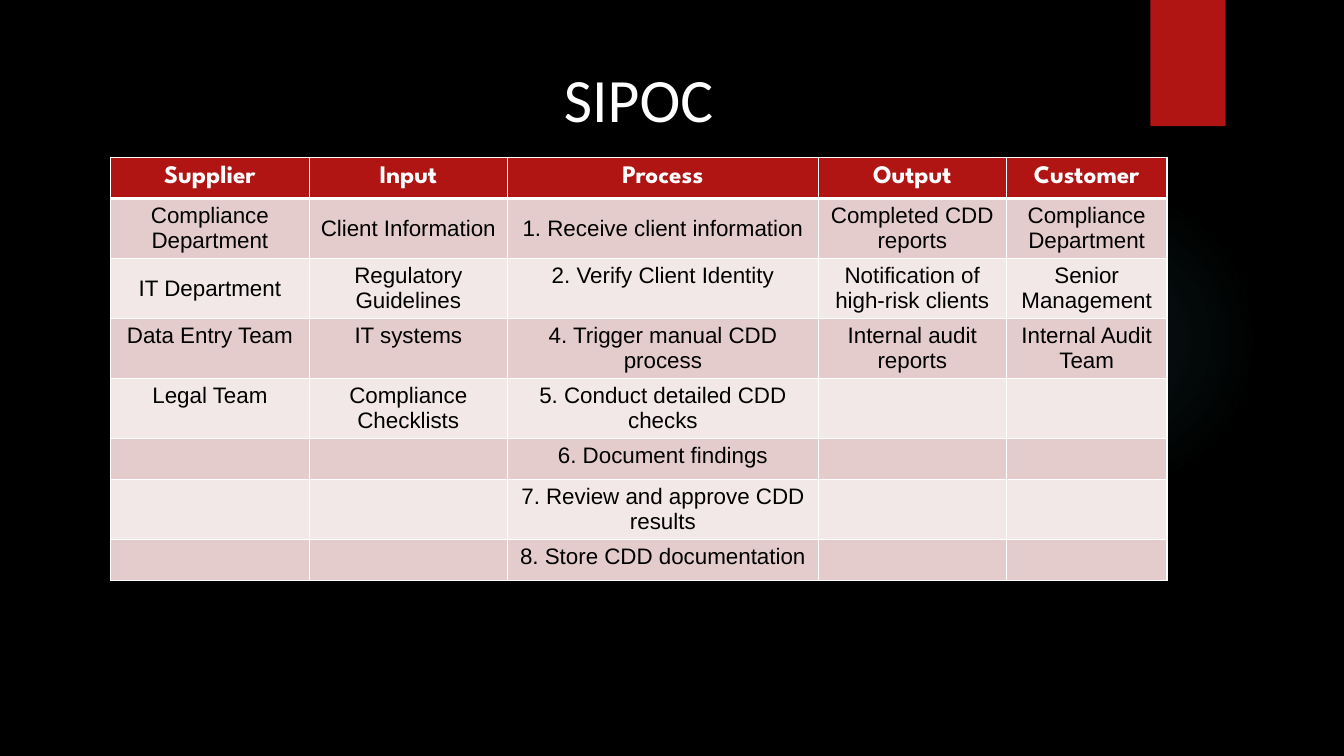
import pptx
import pptx.dml.color
import pptx.enum.shapes
import pptx.enum.text
import pptx.oxml
import pptx.oxml.ns
import pptx.util
from pptx.dml.color import RGBColor
from pptx.util import Cm

BLACK = RGBColor(0x00, 0x00, 0x00)
WHITE = RGBColor(0xFF, 0xFF, 0xFF)
RED = RGBColor(0xB0, 0x15, 0x13)
TEAL = RGBColor(0x50, 0xB9, 0xC1)
ROSE = RGBColor(0xE4, 0xCC, 0xCC)
PALE_ROSE = RGBColor(0xF2, 0xE8, 0xE7)

GLOW_STOPS = ((0, 7), (36, 6), (69, 0))
COLUMN_WIDTHS = (5, 5, 7.83, 4.74, 4.05)
SINGLE_LINE, DOUBLE_LINE = 1.04, 1.51
ROW_HEIGHTS = (SINGLE_LINE,) + (DOUBLE_LINE,) * 4 + (SINGLE_LINE, DOUBLE_LINE, SINGLE_LINE)
SIPOC_ROWS = (
    ("Supplier", "Input", "Process", "Output", "Customer"),
    ("Compliance Department", "Client Information", "1. Receive client information",
     "Completed CDD reports", "Compliance Department"),
    ("IT Department", "Regulatory Guidelines", "2. Verify Client Identity",
     "Notification of high-risk clients", "Senior Management"),
    ("Data Entry Team", "IT systems", "4. Trigger manual CDD process",
     "Internal audit reports", "Internal Audit Team"),
    ("Legal Team", "Compliance Checklists", "5. Conduct detailed CDD checks", "", ""),
    ("", "", "6. Document findings", "", ""),
    ("", "", "7. Review and approve CDD results", "", ""),
    ("", "", "8. Store CDD documentation", "", ""),
)
MIDDLE_CELLS = {(2, 0), (2, 3), (2, 4), (3, 2)}


def add_text(frame, text, font, size, color, bold=False):
    para = frame.paragraphs[0]
    para.alignment = pptx.enum.text.PP_ALIGN.CENTER
    span = para.add_run()
    span.text = text
    span.font.name = font
    span.font.size = pptx.util.Pt(size)
    span.font.color.rgb = color
    span.font.bold = bold


def add_plain_shape(page, kind, left, top, width, height):
    shape = page.shapes.add_shape(kind, Cm(left), Cm(top), Cm(width), Cm(height))
    shape.shadow.inherit = False
    shape.line.fill.background()
    return shape


def draw_glow(page, left, top, size):
    glow = add_plain_shape(page, pptx.enum.shapes.MSO_SHAPE.OVAL, left, top, size, size)
    glow.fill.background()
    stops = "".join(
        f'<a:gs pos="{position * 1000}"><a:srgbClr val="{TEAL}">'
        f'<a:alpha val="{opacity * 1000}"/></a:srgbClr></a:gs>'
        for position, opacity in GLOW_STOPS)
    gradient = pptx.oxml.parse_xml(
        f'<a:gradFill {pptx.oxml.ns.nsdecls("a")}><a:gsLst>{stops}</a:gsLst>'
        '<a:path path="circle"><a:fillToRect l="50000" t="50000" r="50000" b="50000"/>'
        '</a:path></a:gradFill>')
    properties = glow.element.spPr
    properties.replace(properties.find(pptx.oxml.ns.qn("a:noFill")), gradient)


def draw_tab(page, left, top, width, height):
    tab = add_plain_shape(page, pptx.enum.shapes.MSO_SHAPE.RECTANGLE, left, top, width, height)
    tab.fill.solid()
    tab.fill.fore_color.rgb = RED


def draw_title(page, left, top, width, height):
    box = page.shapes.add_textbox(Cm(left), Cm(top), Cm(width), Cm(height))
    box.text_frame.word_wrap = True
    add_text(box.text_frame, "SIPOC", "Calibri", 44, WHITE)


def set_borders(cell, top, bottom):
    properties = cell._tc.get_or_add_tcPr()
    for index, (side, points) in enumerate((("L", 1), ("R", 1), ("T", top), ("B", bottom))):
        properties.insert(index, pptx.oxml.parse_xml(
            f'<a:ln{side} {pptx.oxml.ns.nsdecls("a")} w="{pptx.util.Pt(points)}">'
            f'<a:solidFill><a:srgbClr val="{WHITE}"/></a:solidFill></a:ln{side}>'))


def fill_cell(cell, row, column, text):
    header = row == 0
    cell.fill.solid()
    cell.fill.fore_color.rgb = RED if header else ROSE if row % 2 else PALE_ROSE
    set_borders(cell, 3 if row == 1 else 1, 3 if header else 1)
    if row < 2 or (row, column) in MIDDLE_CELLS:
        cell.vertical_anchor = pptx.enum.text.MSO_ANCHOR.MIDDLE
    if header:
        add_text(cell.text_frame, text, "League Spartan", 18, WHITE, True)
    elif text:
        add_text(cell.text_frame, text, "Arial", 16, BLACK)


def draw_sipoc_table(page, left, top):
    table = page.shapes.add_table(
        len(ROW_HEIGHTS), len(COLUMN_WIDTHS), Cm(left), Cm(top),
        Cm(sum(COLUMN_WIDTHS)), Cm(sum(ROW_HEIGHTS))).table
    for column, width in zip(table.columns, COLUMN_WIDTHS):
        column.width = Cm(width)
    for row, height in zip(table.rows, ROW_HEIGHTS):
        row.height = Cm(height)
    for row, texts in enumerate(SIPOC_ROWS):
        for column, text in enumerate(texts):
            fill_cell(table.cell(row, column), row, column, text)


def main():
    deck = pptx.Presentation()
    deck.slide_width, deck.slide_height = Cm(33.87), Cm(19.05)
    page = deck.slides.add_slide(deck.slide_layouts[6])
    page.background.fill.solid()
    page.background.fill.fore_color.rgb = BLACK
    draw_glow(page, 23.9, 4.65, 7.82)
    draw_tab(page, 28.99, 0, 1.9, 3.18)
    draw_sipoc_table(page, 2.79, 3.96)
    draw_title(page, 8.64, 1.4, 14.91, 2.13)
    deck.save("out.pptx")


if __name__ == "__main__":
    main()
